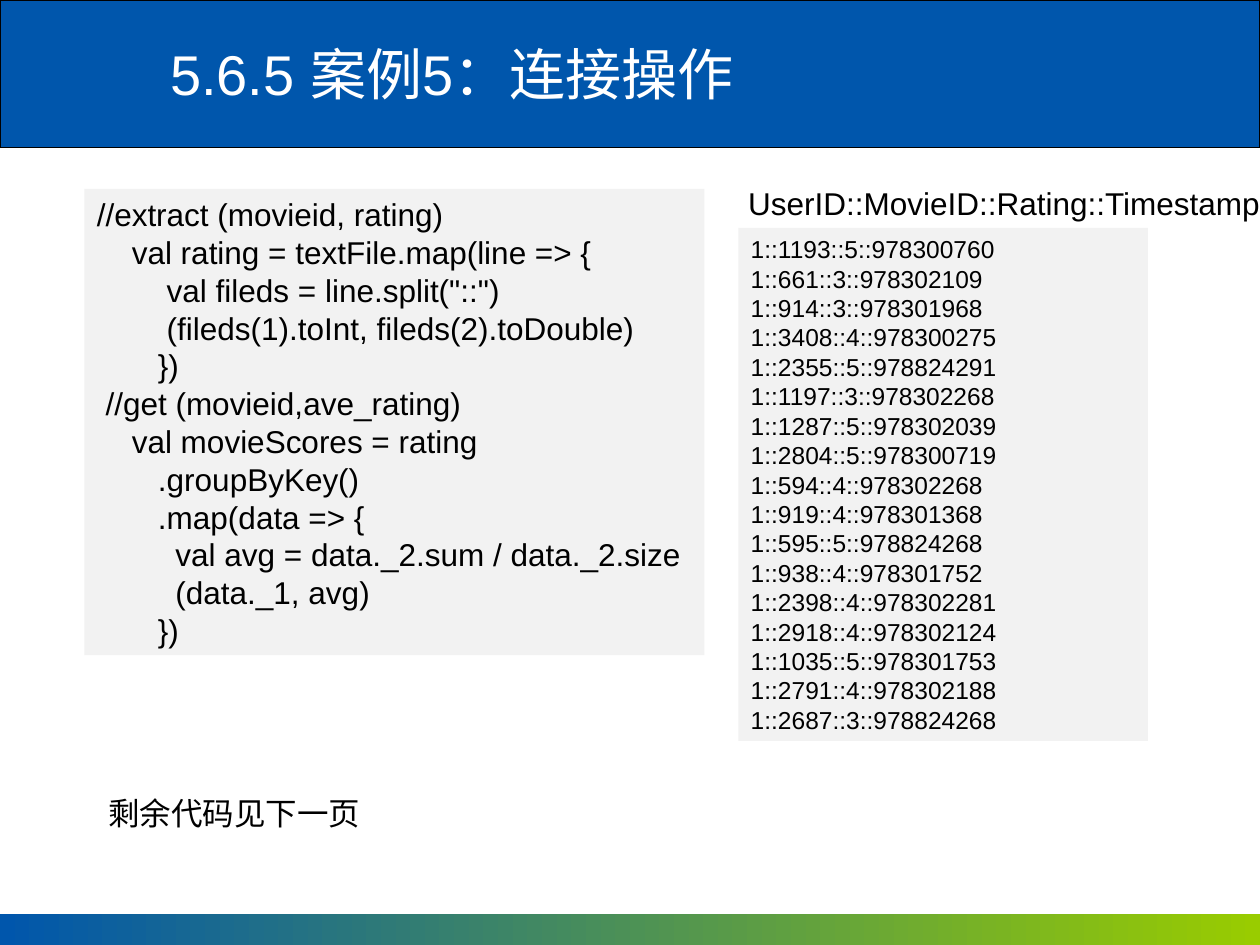
"""Build the slide on the join example, with code and sample rating data."""
from pptx import Presentation
from pptx.dml.color import RGBColor
from pptx.enum.shapes import MSO_SHAPE as SHAPE
from pptx.enum.text import MSO_ANCHOR as ANCHOR, MSO_AUTO_SIZE as AUTO, PP_ALIGN as ALIGN
from pptx.util import Inches, Pt

CODE = """//extract (movieid, rating)
    val rating = textFile.map(line => {
        val fileds = line.split("::")
        (fileds(1).toInt, fileds(2).toDouble)
       })
 //get (movieid,ave_rating)
    val movieScores = rating
       .groupByKey()
       .map(data => {
         val avg = data._2.sum / data._2.size
         (data._1, avg)
       })"""

RATINGS = """1::1193::5::978300760
1::661::3::978302109
1::914::3::978301968
1::3408::4::978300275
1::2355::5::978824291
1::1197::3::978302268
1::1287::5::978302039
1::2804::5::978300719
1::594::4::978302268
1::919::4::978301368
1::595::5::978824268
1::938::4::978301752
1::2398::4::978302281
1::2918::4::978302124
1::1035::5::978301753
1::2791::4::978302188
1::2687::3::978824268"""


def rgb(value):
    return RGBColor.from_string(value)


class Deck:
    font, blue, green, grey, black, white = "Arial", "0056AC", "99CC00", "F2F2F2", "000000", "FFFFFF"
    leading = 1.2

    def __init__(self):
        self.prs = Presentation()
        self.prs.slide_width, self.prs.slide_height = Inches(10), Inches(7.5)
        self.s = self.prs.slides.add_slide(self.prs.slide_layouts[5])

    def set_text(self, tf, text, size, color, wrap=True, anchor=ANCHOR.TOP):
        frame = {"word_wrap": wrap, "auto_size": AUTO.NONE, "vertical_anchor": anchor}
        for name, value in frame.items():
            setattr(tf, name, value)
        for i, line in enumerate(text.split("\n")):
            p = tf.paragraphs[0] if i == 0 else tf.add_paragraph()
            p.alignment = ALIGN.LEFT
            p.line_spacing = Pt(size * self.leading)
            r = p.add_run()
            r.text = line
            for name, value in {"name": self.font, "size": Pt(size)}.items():
                setattr(r.font, name, value)
            r.font.color.rgb = rgb(color)

    def title(self, text, *box):
        sp = self.s.shapes.title
        for name, value in zip(("left", "top", "width", "height"), box):
            setattr(sp, name, Inches(value))
        self.set_text(sp.text_frame, text, 32, self.white, anchor=ANCHOR.MIDDLE)
        self.s.shapes._spTree.append(sp._element)

    def rect(self, *box, fill=None, line=None):
        sp = self.s.shapes.add_shape(SHAPE.RECTANGLE, *map(Inches, box))
        sp.shadow.inherit = False
        if fill:
            sp.fill.solid()
            sp.fill.fore_color.rgb = rgb(fill)
        if line:
            sp.line.color.rgb = rgb(line)
            sp.line.width = Pt(0.75)
        else:
            sp.line.fill.background()
        return sp

    def gradient(self, *box):
        sp = self.rect(*box)
        sp.fill.gradient()
        sp.fill.gradient_angle = 0
        for stop, color in zip(sp.fill.gradient_stops, (self.blue, self.green)):
            stop.color.rgb = rgb(color)

    def panel(self, text, size, *box):
        self.set_text(self.rect(*box, fill=self.grey).text_frame, text, size, self.black)

    def label(self, text, *box):
        sp = self.s.shapes.add_textbox(*map(Inches, box))
        self.set_text(sp.text_frame, text, 18, self.black, wrap=False)


def main():
    deck = Deck()
    deck.rect(0, 0, 10, 1.17, fill=deck.blue, line=deck.black)
    deck.gradient(0, 7.25, 10, 0.25)
    deck.title("5.6.5 案例5：连接操作", 1.25, 0.08, 8.75, 1)
    deck.panel(CODE, 18, 0.67, 1.5, 4.92, 3.7)
    deck.label("剩余代码见下一页", 0.76, 6.25, 2.2, 0.4)
    deck.panel(RATINGS, 14, 5.86, 1.81, 3.25, 4.07)
    deck.label("UserID::MovieID::Rating::Timestamp", 5.84, 1.41, 4.27, 0.4)
    deck.prs.save("out.pptx")


if __name__ == "__main__":
    main()
